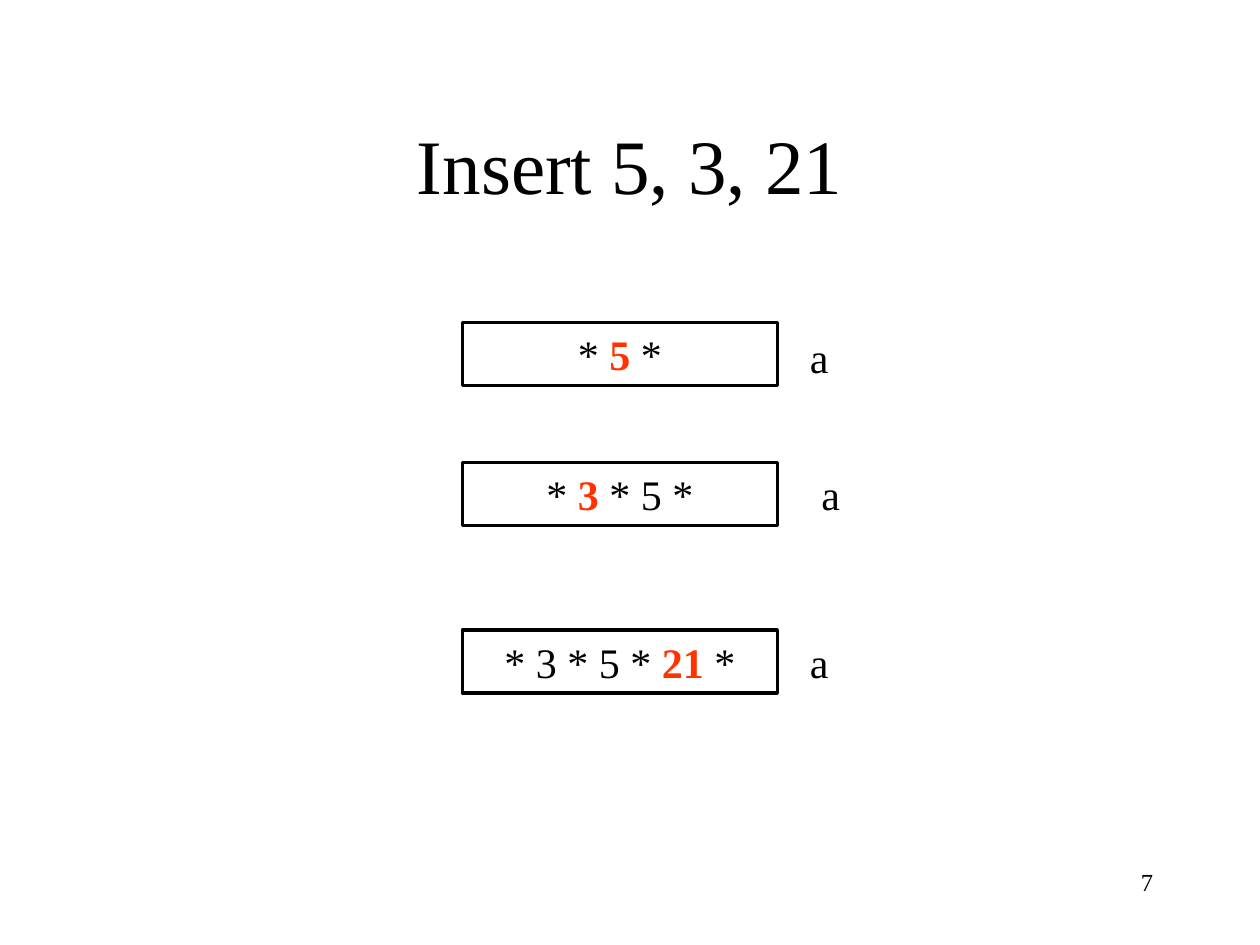
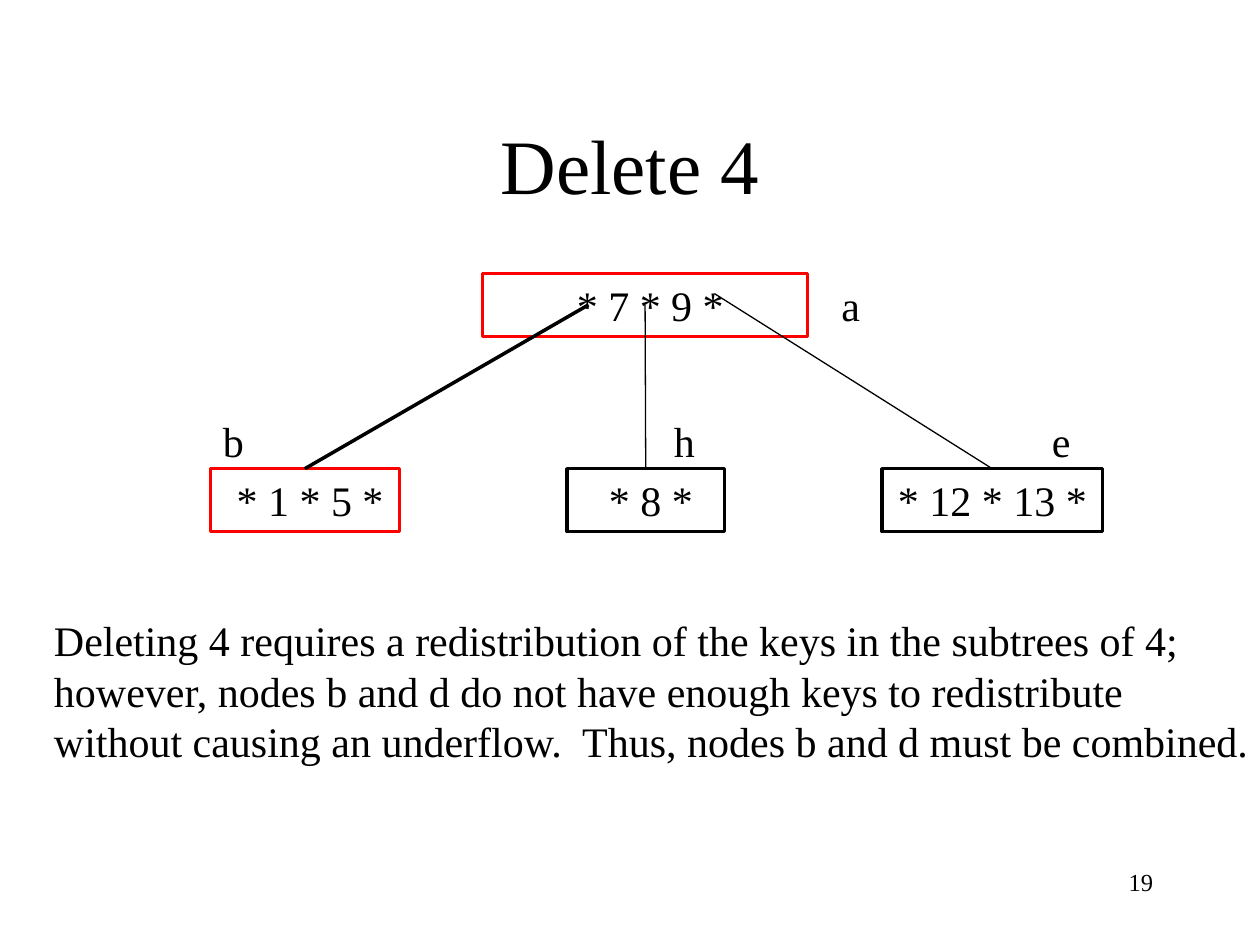
from pptx import Presentation
from pptx import util as u
from pptx.dml.color import RGBColor
from pptx.enum import shapes, text
from pptx.oxml.ns import qn
from lxml import etree

COLORS = {"ink": "000000", "key": "FF3300", "changed": "FF0000", "paper": "FFFFFF"}
FONT = "Times New Roman"
NODE_HEIGHT = 0.5


def set_all(target, values):
    for name, value in values.items():
        setattr(target, name, value)


class TreeDeck:
    frame_format = {
        "word_wrap": True,
        "margin_left": u.Inches(0.1),
        "margin_right": u.Inches(0.1),
        "margin_top": u.Inches(0.05),
        "margin_bottom": u.Inches(0.05),
    }

    def __init__(self):
        self.deck = Presentation()
        set_all(self.deck, {"slide_width": u.Inches(10), "slide_height": u.Inches(7.5)})
        self.page = None

    def color(self, name):
        return RGBColor.from_string(COLORS[name])

    def start_page(self, title, number):
        self.page = self.deck.slides.add_slide(self.deck.slide_layouts[6])
        fill = self.page.background.fill
        fill.solid()
        fill.fore_color.rgb = self.color("paper")
        self.text(title, 0.75, 0.67, 8.5, 1.25, size=44,
                  align=text.PP_ALIGN.CENTER, anchor=text.MSO_ANCHOR.MIDDLE)
        self.text(number, 7.17, 6.83, 2.08, 0.5, size=14, align=text.PP_ALIGN.RIGHT)

    def set_words(self, box, words, size=24, align=text.PP_ALIGN.LEFT,
                  anchor=text.MSO_ANCHOR.TOP, key=None):
        set_all(box.text_frame, {**self.frame_format, "vertical_anchor": anchor})
        para = box.text_frame.paragraphs[0]
        set_all(para, {"alignment": align, "line_spacing": u.Pt(size * 1.2)})
        before, found, after = words.partition(key) if key else (words, "", "")
        for part, is_key in ((before, False), (found, True), (after, False)):
            if part:
                span = para.add_run()
                span.text = part
                set_all(span.font, {"name": FONT, "size": u.Pt(size), "bold": is_key})
                span.font.color.rgb = self.color("key" if is_key else "ink")

    def text(self, words, left, top, width, height, **style):
        box = self.page.shapes.add_textbox(*map(u.Inches, (left, top, width, height)))
        self.set_words(box, words, **style)

    def label(self, letter, left, top):
        self.text(letter, left, top, 0.5, 0.5)

    def node(self, words, left, top, width, outline="ink", key=None):
        box = self.page.shapes.add_shape(
            shapes.MSO_SHAPE.RECTANGLE, *map(u.Inches, (left, top, width, NODE_HEIGHT)))
        box.shadow.inherit = False
        box.fill.background()
        box.line.color.rgb = self.color(outline)
        box.line.width = u.Pt(2)
        self.set_words(box, words, align=text.PP_ALIGN.CENTER, key=key)
        return box

    def branch(self, start_x, start_y, child, weight):
        start = u.Inches(start_x), u.Inches(start_y)
        line = self.page.shapes.add_connector(shapes.MSO_CONNECTOR.STRAIGHT, *start, *start)
        line.end_connect(child, 0)
        line.line.color.rgb = self.color("ink")
        line.line.width = u.Pt(weight)
        etree.SubElement(line._element.spPr, qn("a:effectLst"))


def insert_page(tree):
    tree.start_page("Insert 5, 3, 21", "7")
    steps = [
        ("* 5 *", "5", 2.56, 6.33, 2.58),
        ("* 3 * 5 *", "3", 3.67, 6.42, 3.67),
        ("* 3 * 5 * 21 *", "21", 5, 6.33, 5),
    ]
    for keys, new_key, top, label_left, label_top in steps:
        tree.node(keys, 3.67, top, 2.5, key=new_key)
        tree.label("a", label_left, label_top)


def delete_page(tree):
    tree.start_page("Delete 4", "19")
    tree.node(" * 7 * 9 *", 3.83, 2.17, 2.58, "changed")
    tree.label("a", 6.58, 2.17)
    children = [
        ("b", " * 1 * 5 *", 1.67, 1.5, "changed", 1.67, (4.67, 2.42), 2),
        ("h", " * 8 *", 4.5, 1.25, "ink", 5.25, (5.12, 2.42), 0.75),
        ("e", "* 12 * 13 *", 7, 1.75, "ink", 8.25, (5.67, 2.33), 0.75),
    ]
    for letter, keys, left, width, outline, label_left, start, weight in children:
        child = tree.node(keys, left, 3.72, width, outline)
        tree.branch(*start, child, weight)
        tree.label(letter, label_left, 3.25)
    tree.text("Deleting 4 requires a redistribution of the keys in the subtrees of 4; "
              "however, nodes b and d do not have enough keys to redistribute "
              "without causing an underflow.  Thus, nodes b and d must be combined.",
              0.33, 4.83, 9.75, 1.3)


def main():
    tree = TreeDeck()
    insert_page(tree)
    delete_page(tree)
    tree.deck.save("out.pptx")


if __name__ == "__main__":
    main()
